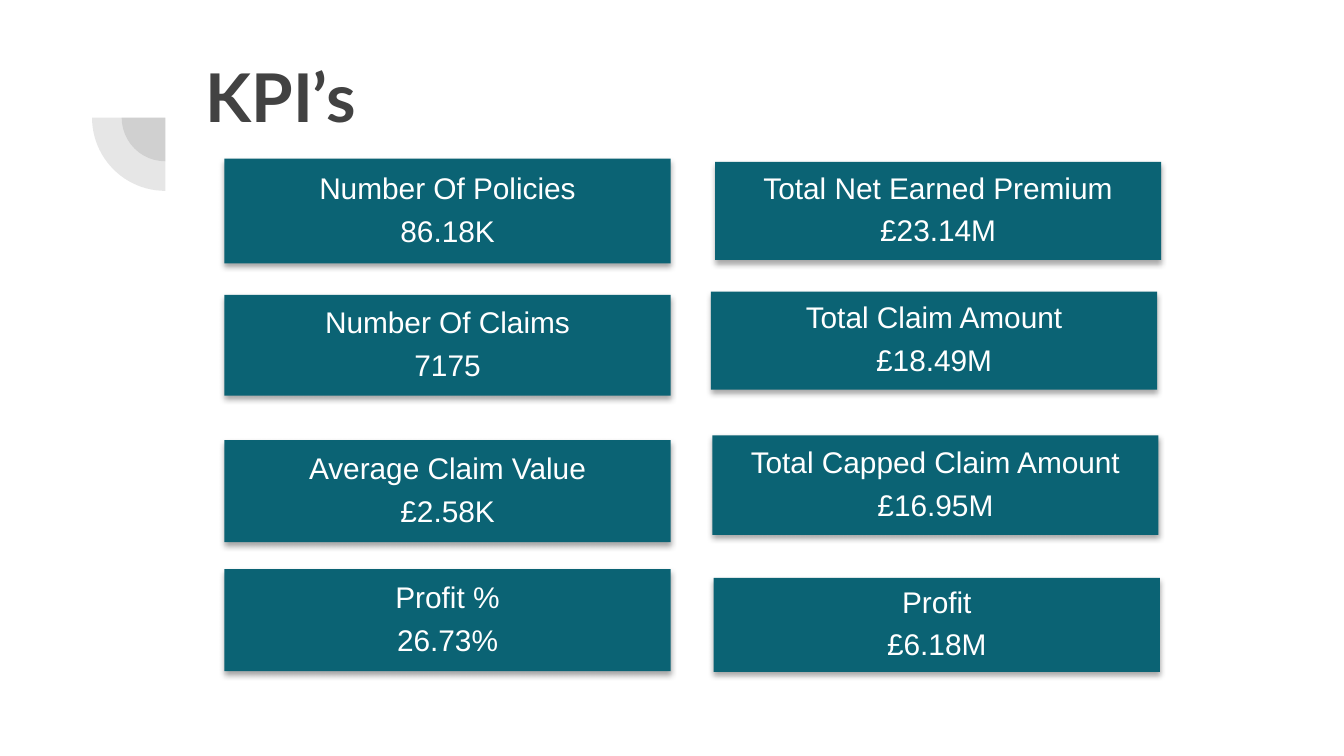
from dataclasses import dataclass

from lxml import etree
from pptx import Presentation
from pptx import util as u
from pptx.dml.color import RGBColor
from pptx.enum import shapes, text
from pptx.oxml.ns import qn

TEAL = RGBColor(0x0B, 0x63, 0x74)
CHARCOAL = RGBColor(0x42, 0x42, 0x42)
BLACK = RGBColor(0, 0, 0)
WHITE = RGBColor(0xFF, 0xFF, 0xFF)

SLIDE_WIDTH = u.Inches(10)
SLIDE_HEIGHT = u.Emu(SLIDE_WIDTH * 9 // 16)
CARD_WIDTH = 33.2
LEFT_COLUMN = 16.7


@dataclass(frozen=True)
class Kpi:
    """One card; lengths are percent of the slide width."""
    label: str
    value: str
    left: float
    top: float
    height: float


KPIS = (
    Kpi("Number Of Policies", "86.18K", LEFT_COLUMN, 11.8, 7.8),
    Kpi("Total Net Earned Premium", "£23.14M", 53.2, 12.05, 7.3),
    Kpi("Number Of Claims", "7175", LEFT_COLUMN, 21.95, 7.5),
    Kpi("Total Claim Amount", "£18.49M", 52.9, 21.7, 7.3),
    Kpi("Average Claim Value", "£2.58K", LEFT_COLUMN, 32.75, 7.6),
    Kpi("Total Capped Claim Amount", "£16.95M", 53, 32.4, 7.4),
    Kpi("Profit %", "26.73%", LEFT_COLUMN, 42.35, 7.6),
    Kpi("Profit", "£6.18M", 53.1, 43, 7),
)


def share(percent: float) -> u.Emu:
    """Length as a percentage of the slide width."""
    return u.Emu(round(SLIDE_WIDTH * percent / 100))


def apply(target, formats: dict) -> None:
    for name, value in formats.items():
        setattr(target, name, value)


def set_font(font, color: RGBColor, **formats) -> None:
    apply(font, formats)
    font.color.rgb = color


def add_filled(slide, kind, box: tuple, color: RGBColor):
    shape = slide.shapes.add_shape(kind, *map(share, box))
    shape.shadow.inherit = False
    shape.fill.solid()
    shape.fill.fore_color.rgb = color
    shape.line.fill.background()
    return shape


def add_text(slide, box: tuple, wording: str, inset: float, **formats):
    """Wrapped text box with the same inset, in inches, on every side."""
    frame = slide.shapes.add_textbox(*map(share, box)).text_frame
    for side in ("left", "top", "right", "bottom"):
        setattr(frame, f"margin_{side}", u.Inches(inset))
    apply(frame, {"word_wrap": True, "text": wording, **formats})
    return frame.paragraphs


def add_alpha(color_element, percent: int) -> None:
    etree.SubElement(color_element, qn("a:alpha"), val=str(percent * 1000))


def add_quadrant(slide, center: tuple, diameter: float) -> None:
    x, y = (c - diameter / 2 for c in center)
    quadrant = add_filled(slide, shapes.MSO_SHAPE.PIE,
                          (x, y, diameter, diameter), CHARCOAL)
    quadrant.rotation = 270
    quadrant.adjustments[0] = 108
    quadrant.adjustments[1] = 162
    add_alpha(quadrant.fill._xPr.find(".//" + qn("a:srgbClr")), 13)


def add_drop_shadow(shape) -> None:
    effects = shape._element.spPr.find(qn("a:effectLst"))
    shadow = etree.SubElement(
        effects, qn("a:outerShdw"), blurRad=str(u.Pt(3.1)),
        dist=str(u.Pt(1.8)), dir="5400000", rotWithShape="0")
    add_alpha(etree.SubElement(shadow, qn("a:srgbClr"), val=str(BLACK)), 35)


def add_title(slide, wording: str) -> None:
    title, = add_text(slide, (14.3, 3.1, 39.9, 10.9), wording, 0.1)
    set_font(title.runs[0].font, CHARCOAL,
             name="Lato", size=u.Pt(36), bold=True)


def add_card(slide, kpi: Kpi) -> None:
    box = (kpi.left, kpi.top, CARD_WIDTH, kpi.height)
    add_drop_shadow(add_filled(slide, shapes.MSO_SHAPE.RECTANGLE, box, TEAL))
    lines = add_text(slide, box, f"{kpi.label}\n{kpi.value}", 0.07,
                     vertical_anchor=text.MSO_ANCHOR.MIDDLE)
    for line in lines:
        apply(line, {"alignment": text.PP_ALIGN.CENTER,
                     "line_spacing": 0.9, "space_after": u.Pt(5.6)})
        set_font(line.runs[0].font, WHITE, name="Arial", size=u.Pt(16))


def main() -> None:
    deck = Presentation()
    apply(deck, {"slide_width": SLIDE_WIDTH, "slide_height": SLIDE_HEIGHT})
    slide = deck.slides.add_slide(deck.slide_layouts[6])

    # Corner ornament: two quadrants around one centre
    for diameter in (6.5, 10.9):
        add_quadrant(slide, (12.3, 8.75), diameter)

    add_title(slide, "KPI’s")

    # KPI cards
    for kpi in KPIS:
        add_card(slide, kpi)

    deck.save("out.pptx")


if __name__ == "__main__":
    main()
